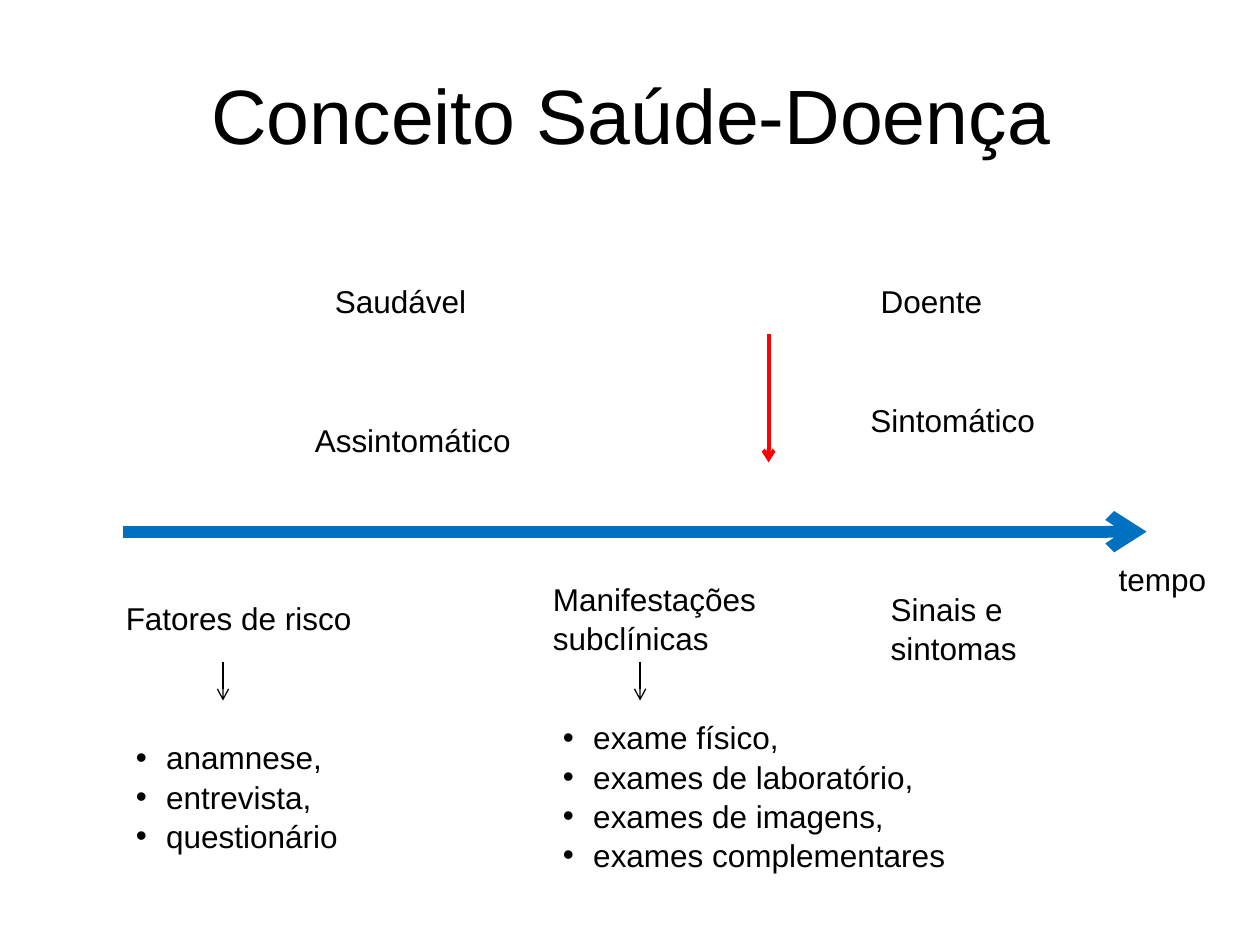
from lxml import etree
from pptx import Presentation
from pptx.dml.color import RGBColor
from pptx.enum.shapes import MSO_CONNECTOR
from pptx.enum.text import MSO_ANCHOR, PP_ALIGN
from pptx.oxml.ns import qn
from pptx.util import Inches, Pt

LINE = MSO_CONNECTOR.STRAIGHT
MIDDLE, TOP = MSO_ANCHOR.MIDDLE, MSO_ANCHOR.TOP
CENTER, LEFT = PP_ALIGN.CENTER, PP_ALIGN.LEFT
COLORS = {"text": "000000", "onset": "FF0000", "time": "0070C0"}
FONT = "Arial"
HANG = 0.24


class Deck:
    def __init__(self):
        self.prs = Presentation()
        self.prs.slide_width = Inches(10)
        self.prs.slide_height = Inches(7.5)
        self.slide = self.prs.slides.add_slide(self.prs.slide_layouts[6])

    def text(self, box, lines, size=18, align=LEFT, anchor=TOP,
             space=1.04, bullet=False):
        frame = self.slide.shapes.add_textbox(*map(Inches, box)).text_frame
        frame.word_wrap = True
        frame.vertical_anchor = anchor
        for i, line in enumerate(lines):
            para = frame.paragraphs[0] if i == 0 else frame.add_paragraph()
            para.alignment = align
            para.line_spacing = space
            if bullet:
                self.bullet(para)
            run = para.add_run()
            run.text = line
            run.font.name = FONT
            run.font.size = Pt(size)
            run.font.color.rgb = RGBColor.from_string(COLORS["text"])

    def bullet(self, para):
        props = para._p.get_or_add_pPr()
        props.set("marL", str(Inches(HANG)))
        props.set("indent", str(-Inches(HANG)))
        color = etree.SubElement(props, qn("a:buClr"))
        etree.SubElement(color, qn("a:srgbClr"), val=COLORS["text"])
        etree.SubElement(props, qn("a:buFont"), typeface=FONT)
        etree.SubElement(props, qn("a:buChar"), char="•")

    def arrow(self, start, end, color, width):
        arrow = self.slide.shapes.add_connector(
            LINE, *map(Inches, start + end))
        arrow.line.color.rgb = RGBColor.from_string(COLORS[color])
        arrow.line.width = Pt(width)
        etree.SubElement(arrow.line._get_or_add_ln(), qn("a:tailEnd"),
                         type="arrow")
        etree.SubElement(arrow._element.spPr, qn("a:effectLst"))


def main():
    deck = Deck()
    deck.text((0.51, 0.28, 9, 1.25), ["Conceito Saúde-Doença"], size=44,
              align=CENTER, anchor=MIDDLE, space=1)

    labels = [
        ("Assintomático", 2.4, 3.28, 1.81, 0.4),
        ("Sintomático", 6.81, 3.12, 1.57, 0.4),
        ("Doente", 6.89, 2.18, 1.42, 0.4),
        ("Saudável", 2.56, 2.18, 1.42, 0.4),
        ("Sinais e sintomas", 6.97, 4.62, 1.57, 0.7),
        ("Manifestações subclínicas", 4.29, 4.54, 1.89, 0.7),
        ("Fatores de risco", 0.9, 4.69, 2.05, 0.4),
        ("tempo", 8.78, 4.38, 1.02, 0.4),
    ]
    for label, *box in labels:
        deck.text(box, [label])

    deck.arrow((6.1, 2.65), (6.1, 3.67), "onset", 2.25)
    deck.arrow((0.98, 4.22), (9.1, 4.22), "time", 6.75)
    for x in (1.77, 5.08):
        deck.arrow((x, 5.25), (x, 5.56), "text", 0.75)

    deck.text((0.98, 5.8, 2.28, 1.3),
              ["anamnese,", "entrevista,", "questionário"], bullet=True)
    deck.text((4.37, 5.64, 3.23, 1.3),
              ["exame físico,", "exames de laboratório,",
               "exames de imagens,", "exames complementares"], bullet=True)
    deck.prs.save("out.pptx")


if __name__ == "__main__":
    main()
